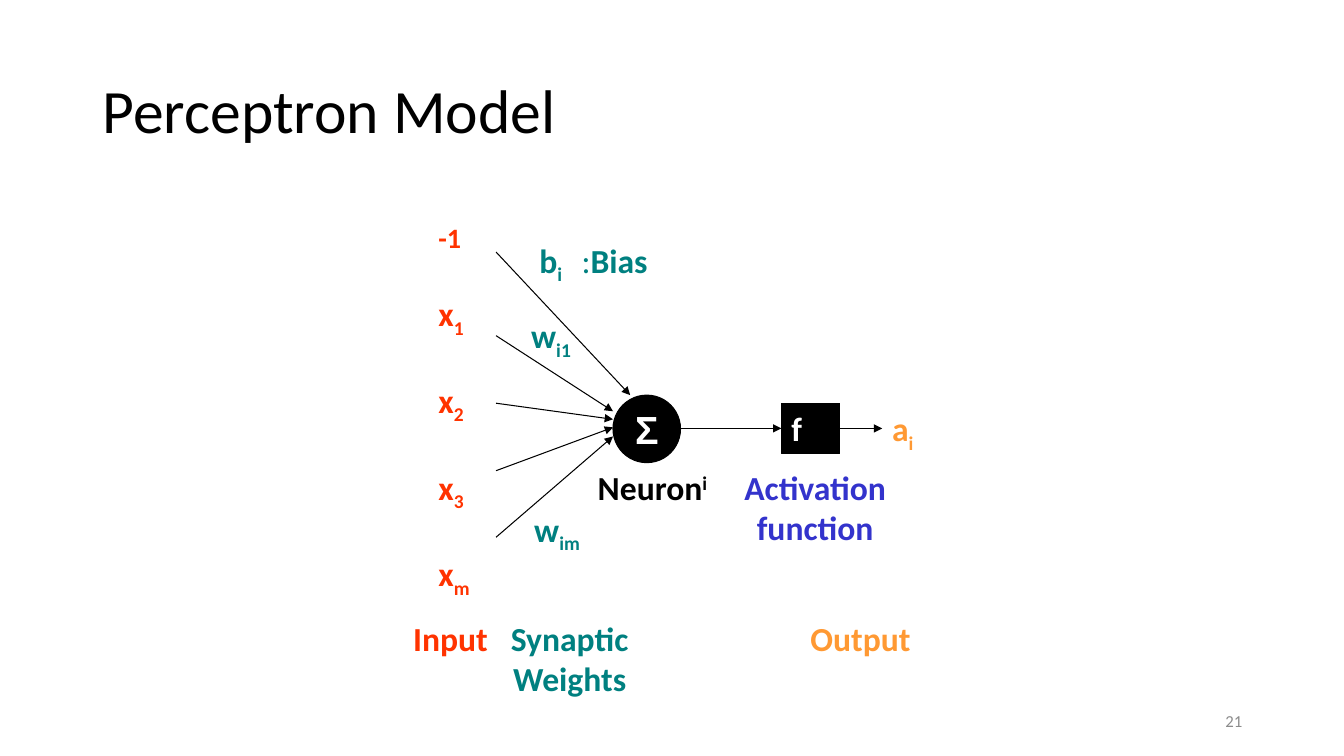
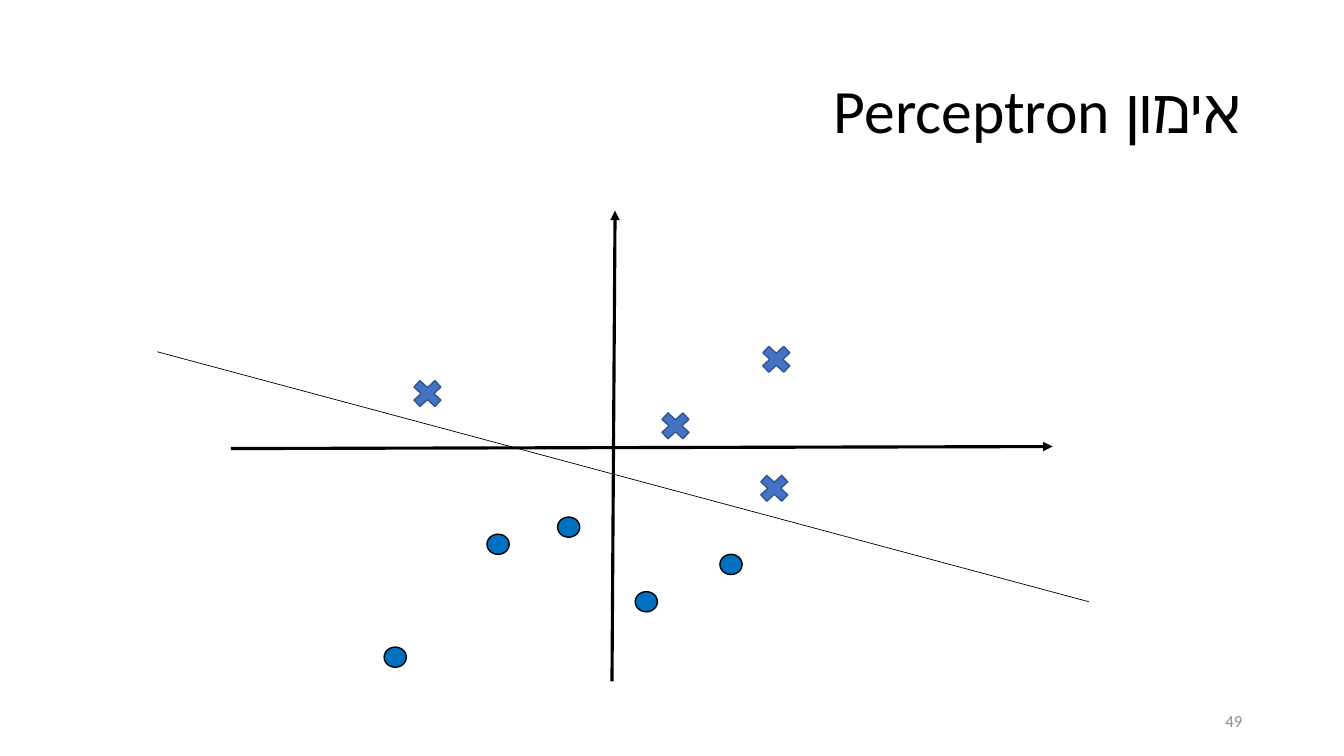
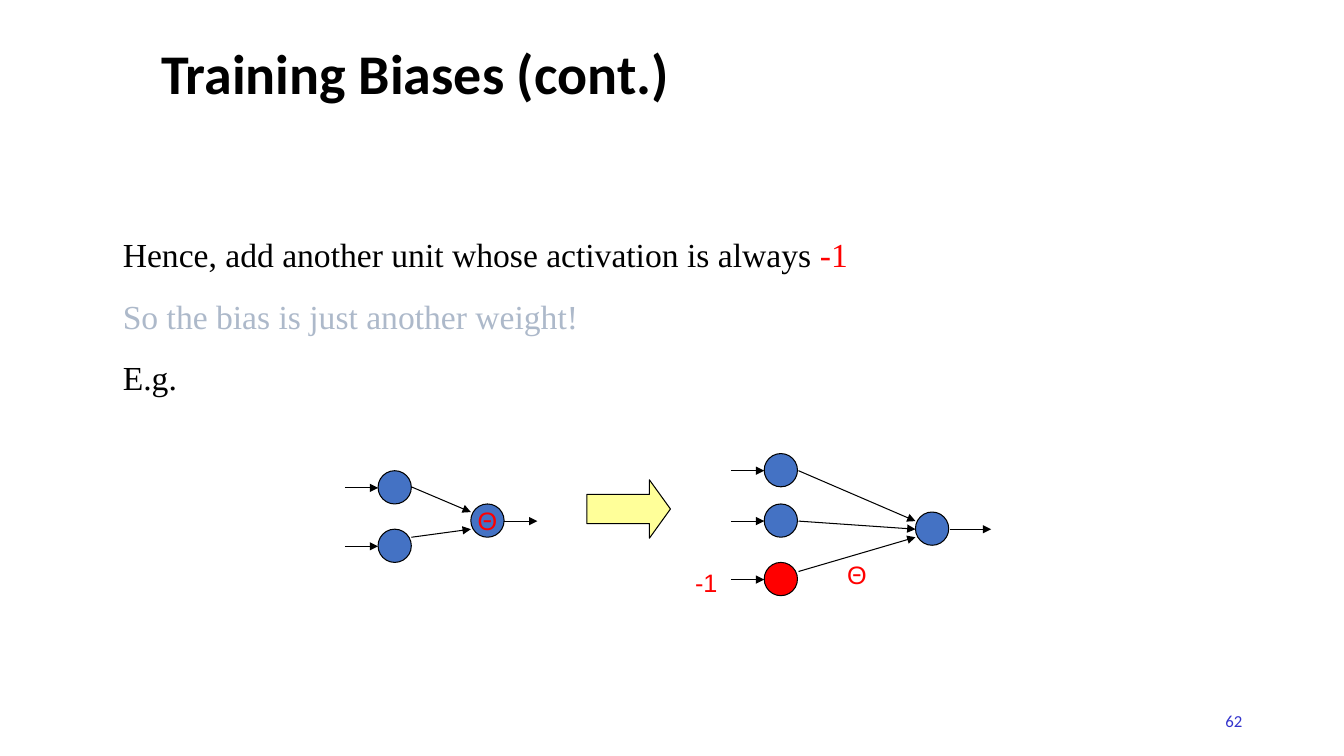
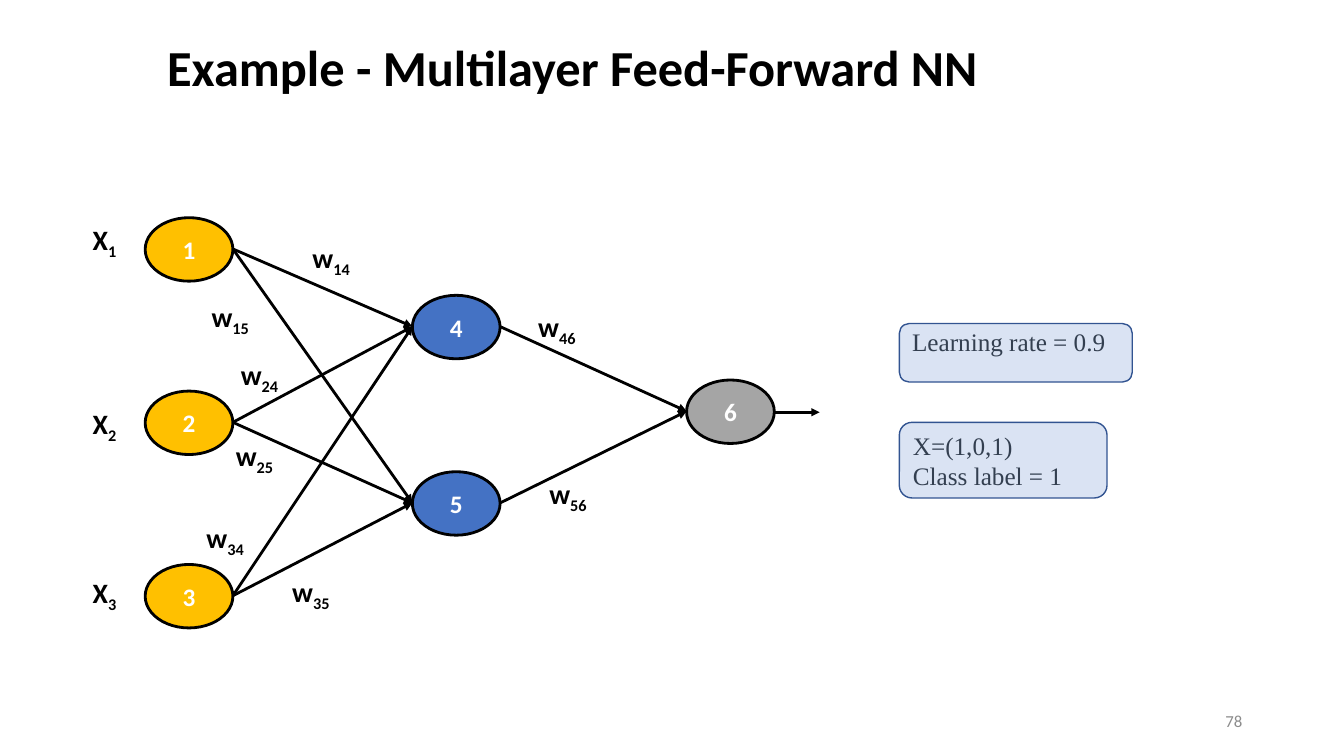
"""Build four slides on perceptrons and feed-forward networks."""
from pptx import Presentation
from pptx import util as u
from pptx.dml import color
from pptx.enum import shapes, text
from pptx.oxml import ns, xmlchemy

PX = 9144
COLORS = {
    "black": "000000", "white": "FFFFFF", "blue": "4472C4", "outline": "325491",
    "dot": "0070C0", "input": "FF3300", "weight": "008080", "output": "FF9933",
    "function": "3333CC", "red": "FF0000", "faded": "ADB9CA", "arrow": "FFFF99",
    "gold": "FFC000", "gray": "A5A5A5", "note": "DAE3F3", "note_text": "333F50",
    "number": "8C8C8C",
}
SANS, SERIF, SYMBOL = "Calibri", "Times New Roman", "Arial"
LEFT, CENTER, RIGHT = text.PP_ALIGN.LEFT, text.PP_ALIGN.CENTER, text.PP_ALIGN.RIGHT
TOP, MIDDLE = text.MSO_ANCHOR.TOP, text.MSO_ANCHOR.MIDDLE
KIND = shapes.MSO_SHAPE
TITLE_BOX = (92, 40, 1150, 145)


def rgb(name):
    """Return the named colour."""
    return color.RGBColor.from_string(COLORS[name])


def emu(lengths):
    """Turn px lengths into EMU."""
    return [u.Emu(length * PX) for length in lengths]


def write(frame, paragraphs, size=24, font=SANS, ink="black", bold=False, align=LEFT,
          anchor=TOP, wrap=True, leading=None, gap=0, rtl=False, margin=None):
    """Fill a text frame with paragraphs of plain strings or (string, overrides) runs."""
    frame.word_wrap = wrap
    frame.vertical_anchor = anchor
    if margin is not None:
        frame.margin_top = frame.margin_bottom = u.Emu(margin * PX)
    for index, runs in enumerate(paragraphs):
        paragraph = frame.add_paragraph() if index else frame.paragraphs[0]
        paragraph.alignment = align
        if rtl:
            paragraph._p.get_or_add_pPr().set("rtl", "1")
        if leading:
            paragraph.line_spacing = leading
        if index and gap:
            paragraph.space_before = u.Pt(gap)
        for item in [runs] if isinstance(runs, str) else runs:
            words, change = (item, {}) if isinstance(item, str) else item
            run = paragraph.add_run()
            run.text = words
            run.font.size, run.font.name = u.Pt(size), font
            run.font.bold = change.get("bold", bold)
            run.font.color.rgb = rgb(change.get("ink", ink))
            if "base" in change:
                run._r.get_or_add_rPr().set("baseline", str(change["base"] * 1000))


def label(slide, box, *paragraphs, **style):
    """Add a text box."""
    write(slide.shapes.add_textbox(*emu(box)).text_frame, paragraphs, **style)


def indexed(letter, index, base=-25):
    """Return the runs of a letter with a lowered or raised index."""
    return [letter, (index, {"base": base})]


def figure(slide, kind, box, fill, outline="black", weight=0.75, paragraphs=(), **style):
    """Add a filled and outlined shape, with text if given."""
    shape = slide.shapes.add_shape(kind, *emu(box))
    shape.shadow.inherit = False
    shape.fill.solid()
    shape.fill.fore_color.rgb = rgb(fill)
    shape.line.color.rgb = rgb(outline)
    shape.line.width = u.Pt(weight)
    if paragraphs:
        write(shape.text_frame, paragraphs, **style)
    return shape


def wire(slide, start, end, weight=0.75, arrow=True):
    """Add a straight black line, with an arrowhead at its end by default."""
    line = slide.shapes.add_connector(shapes.MSO_CONNECTOR.STRAIGHT, *emu((*start, *end)))
    line.line.color.rgb = rgb("black")
    line.line.width = u.Pt(weight)
    if arrow:
        head = xmlchemy.OxmlElement("a:tailEnd")
        head.set("type", "triangle")
        line.line._get_or_add_ln().append(head)
    line._element.find(ns.qn("p:spPr")).append(xmlchemy.OxmlElement("a:effectLst"))


def new_slide(deck, title, number, box=TITLE_BOX, number_ink="number", **style):
    """Add a blank slide with its title and page number."""
    slide = deck.slides.add_slide(deck.slide_layouts[6])
    label(slide, box, title, anchor=MIDDLE, leading=0.9, **style)
    label(slide, (942, 695, 300, 40), number, size=12, ink=number_ink,
          align=RIGHT, anchor=MIDDLE)
    return slide


def perceptron_model(deck):
    """Draw the parts of a single neuron."""
    slide = new_slide(deck, "Perceptron Model", "21", size=44)
    figure(slide, KIND.OVAL, (608, 392, 67, 67), "black", paragraphs=["Σ"], size=28,
           font=SYMBOL, ink="white", bold=True, align=CENTER, anchor=MIDDLE, wrap=False)
    figure(slide, KIND.RECTANGLE, (775, 400, 58, 50), "black", paragraphs=["f"],
           ink="white", bold=True)
    wire(slide, (492, 250), (625, 392))
    for row in range(4):
        wire(slide, (492, 333 + 67 * row - row // 3), (608, 408 + 8 * row + row // 3))
    wire(slide, (675, 425), (775, 425))
    wire(slide, (833, 425), (875, 425))
    label(slide, (425, 214, 60, 44), "-1", size=20, ink="input", bold=True)
    for row, index in enumerate("123m"):
        label(slide, (425, 286 + 86 * row, 60, 50), indexed("x", index),
              ink="input", bold=True)
    for box, runs, ink in (
        ((525, 233, 45, 50), indexed("b", "i"), "weight"),
        ((567, 233, 110, 50), [(":", {"bold": False}), "Bias"], "weight"),
        ((517, 308, 92, 50), indexed("w", "i1"), "weight"),
        ((520, 500, 69, 50), indexed("w", "im"), "weight"),
        ((583, 458, 135, 50), indexed("Neuron", "i", 30), "black"),
        ((875, 400, 92, 50), indexed("a", "i"), "output"),
        ((400, 608, 100, 50), "Input", "input"),
        ((794, 608, 130, 50), "Output", "output"),
    ):
        label(slide, box, runs, ink=ink, bold=True)
    label(slide, (718, 458, 181, 91), "Activation", "function", ink="function",
          bold=True, align=CENTER)
    label(slide, (485, 608, 160, 91), "Synaptic", "Weights", ink="weight",
          bold=True, align=CENTER)


def perceptron_training(deck):
    """Draw two classes of points and the line between them."""
    slide = new_slide(deck, "אימון Perceptron", "49", size=44, align=RIGHT, rtl=True)
    wire(slide, (229, 445), (1044, 443), weight=2.25)
    wire(slide, (607, 676), (610, 209), weight=2.25)
    for x, y in ((750, 338), (748, 466), (404, 372), (650, 404)):
        figure(slide, KIND.MATH_MULTIPLY, (x, y, 40, 37), "blue", "outline", 1)
    for x, y in ((483, 530), (714, 550), (553, 513), (381, 642), (630, 587)):
        figure(slide, KIND.OVAL, (x, y, 22, 20), "dot", weight=1)
    wire(slide, (156, 349), (1080, 597), weight=0.5, arrow=False)


def unit(slide, x, y, fill="blue", feed=False, **content):
    """Draw a small network unit, with an arrow into it if it is fed."""
    figure(slide, KIND.OVAL, (x, y, 33, 33), fill, **content)
    if feed:
        wire(slide, (x - 33, y + 17), (x, y + 17))


def training_biases(deck):
    """Show a bias turned into the weight of an extra unit."""
    slide = new_slide(deck, "Training Biases (cont.)", "62", (150, 39, 683, 74),
                      "function", size=40, bold=True)
    label(slide, (112, 232, 1050, 458),
          ["Hence, add another unit whose activation is always ", ("-1", {"ink": "red"})],
          [("So the bias is just another weight!", {"ink": "faded"})],
          "E.g.", font=SERIF, leading=0.9, gap=18)
    theta = {"size": 18, "font": SYMBOL, "ink": "red", "align": CENTER}
    for y in (467, 525):
        unit(slide, 375, y, feed=True)
    unit(slide, 467, 500, paragraphs=["Θ"], anchor=MIDDLE, wrap=False, margin=0, **theta)
    arrow = figure(slide, KIND.RIGHT_ARROW, (582, 476, 83, 58), "arrow")
    arrow.adjustments[0], arrow.adjustments[1] = 0.5, 0.36
    for y, fill in ((450, "blue"), (500, "blue"), (558, "red")):
        unit(slide, 758, y, fill, feed=True)
    unit(slide, 908, 508)
    for start, end in (
        ((408, 483), (467, 508)), ((408, 533), (467, 525)), ((500, 517), (533, 517)),
        ((792, 467), (908, 517)), ((792, 517), (908, 525)), ((792, 567), (908, 533)),
        ((942, 525), (983, 525)),
    ):
        wire(slide, start, end)
    label(slide, (667, 558, 67, 40), "-1", **theta)
    label(slide, (825, 550, 50, 40), "Θ", **theta)


def feed_forward(deck):
    """Draw a network with three inputs, two hidden units and one output."""
    slide = new_slide(deck, "Example - Multilayer Feed-Forward NN", "78",
                      (156, 18, 1050, 103), size=36, bold=True)
    width, height = 87, 63
    neurons = {
        "1": (144, 216, "gold"), "2": (144, 388, "gold"), "3": (144, 560, "gold"),
        "4": (409, 293, "blue"), "5": (409, 468, "blue"), "6": (681, 377, "gray"),
    }
    weights = {
        "14": (300, 234), "15": (200, 292), "24": (229, 350), "25": (224, 430),
        "34": (195, 511), "35": (280, 565), "46": (524, 302), "56": (535, 468),
    }
    for number, (x, y, fill) in neurons.items():
        figure(slide, KIND.OVAL, (x, y, width, height), fill, weight=2,
               paragraphs=[number], size=18, ink="white", bold=True,
               align=CENTER, anchor=MIDDLE)
    for pair, (x, y) in weights.items():
        source, target = (neurons[number] for number in pair)
        wire(slide, (source[0] + width, source[1] + height // 2),
             (target[0], target[1] + height // 2), weight=2)
        label(slide, (x, y, 73, 44), indexed("w", pair), size=20, bold=True)
    wire(slide, (768, 409), (813, 409), weight=2)
    for index, y in zip("123", (216, 398, 566)):
        label(slide, (82, y, 54, 44), indexed("X", index), size=20, bold=True)
    note = {"size": 18, "font": SERIF, "ink": "note_text"}
    figure(slide, KIND.ROUNDED_RECTANGLE, (892, 321, 231, 58), "note", "outline", 1,
           ["Learning rate = 0.9"], margin=0, **note)
    figure(slide, KIND.ROUNDED_RECTANGLE, (892, 419, 206, 75), "note", "outline", 1,
           ["X=(1,0,1)", "Class label = 1"], anchor=MIDDLE, **note)


def main():
    """Build and save the deck."""
    deck = Presentation()
    deck.slide_width, deck.slide_height = emu((1333, 750))
    for build in (perceptron_model, perceptron_training, training_biases, feed_forward):
        build(deck)
    deck.save("out.pptx")


if __name__ == "__main__":
    main()
